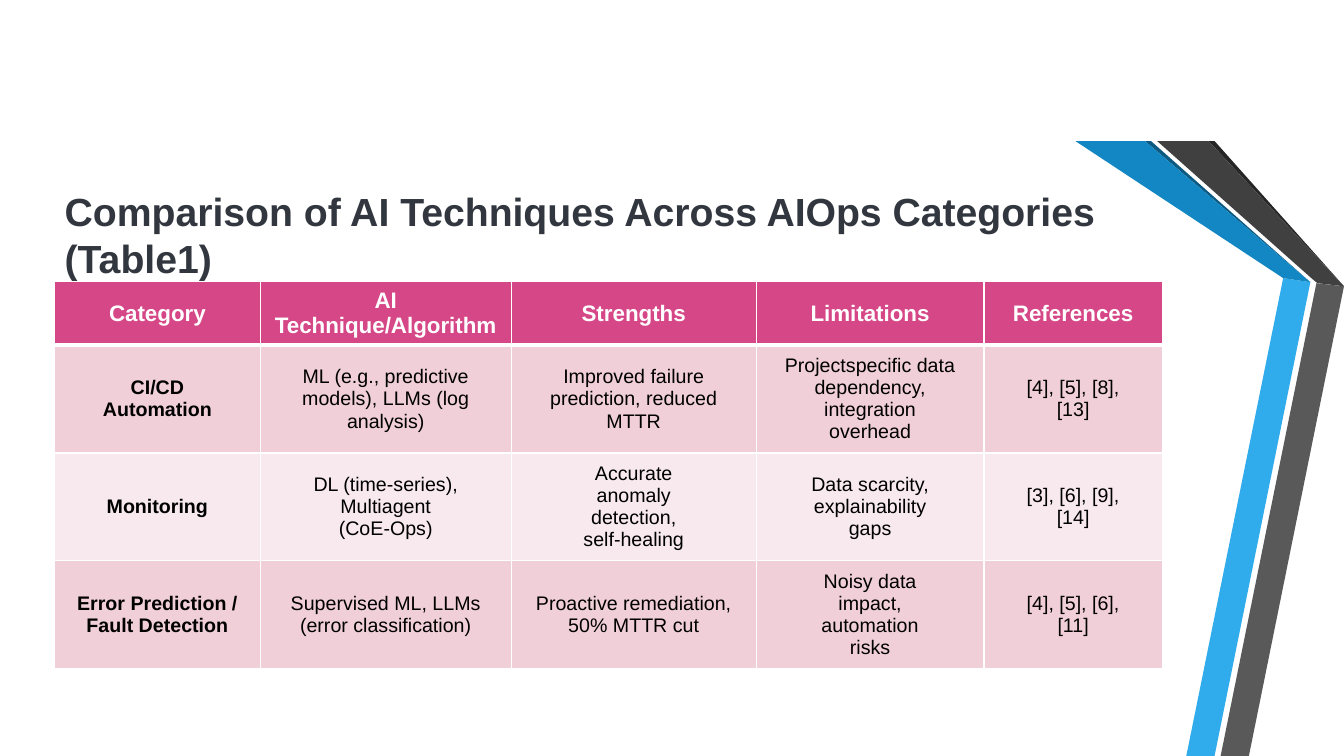
from dataclasses import dataclass

from lxml.etree import SubElement
from pptx import Presentation
from pptx.dml.color import RGBColor
from pptx.enum.text import MSO_ANCHOR, MSO_AUTO_SIZE, PP_ALIGN
from pptx.oxml.ns import qn
from pptx.util import Pt


@dataclass(frozen=True)
class Theme:
    font: str = "Arial"
    title_size: int = 28
    header_size: int = 16
    body_size: int = 14
    title: str = "32373F"
    header_text: str = "FFFFFF"
    body_text: str = "000000"
    header_fill: str = "D64787"
    bands: tuple = ("F0CFD9", "F7E9ED")
    border: str = "FFFFFF"
    light_blue: str = "30ACEC"
    blue: str = "1287C3"
    dark_blue: str = "0C5A82"
    grey: str = "595959"
    dark_grey: str = "404040"
    black: str = "262626"


THEME = Theme()

# Ribbon outlines: colour and corner points
RIBBONS = [
    (THEME.light_blue, [(936, 201.6), (916.6, 198.7), (847.4, 540), (867.6, 540)]),
    (THEME.grey, [(871.9, 540), (892.1, 540), (960, 204.5), (940.3, 202.3)]),
    (THEME.black, [(960, 204.5), (867.6, 100.8), (863.3, 100.8)]),
    (THEME.dark_blue, [(936, 201.6), (822.2, 100.8), (817.9, 100.8)]),
    (THEME.blue, [(936, 201.6), (817.9, 100.8), (768.2, 100.8), (916.6, 198.7)]),
    (THEME.dark_grey, [(826.6, 100.8), (936.7, 198.7), (941, 202.3),
                       (960, 204.5), (863.3, 100.8)]),
]

# Table content: each line in a cell is a paragraph
COLUMN_WIDTHS = [146.9, 179.3, 175, 162.7, 127.4]
HEADER_HEIGHT, ROW_HEIGHT = 45, 77
ROWS = [
    ["Category", "AI Technique/Algorithm", "Strengths", "Limitations", "References"],
    ["CI/CD\nAutomation",
     "ML (e.g., predictive\nmodels), LLMs (log\nanalysis)",
     "Improved failure\nprediction, reduced\nMTTR",
     "Projectspecific data\ndependency, integration\noverhead",
     "[4], [5], [8],\n[13]"],
    ["Monitoring",
     "DL (time-series), Multiagent\n(CoE-Ops)",
     "Accurate\nanomaly\ndetection,\nself-healing",
     "Data scarcity,\nexplainability\ngaps",
     "[3], [6], [9],\n[14]"],
    ["Error Prediction /\nFault Detection",
     "Supervised ML, LLMs\n(error classification)",
     "Proactive remediation,\n50% MTTR cut",
     "Noisy data\nimpact,\nautomation\nrisks",
     "[4], [5], [6],\n[11]"],
]


def format_text(text_frame, size, color, bold, alignment):
    for paragraph in text_frame.paragraphs:
        paragraph.alignment = alignment
        for run in paragraph.runs:
            run.font.name = THEME.font
            run.font.size = Pt(size)
            run.font.bold = bold
            run.font.color.rgb = RGBColor.from_string(color)


def add_ribbon(slide, color, points):
    start, *others = [(Pt(x), Pt(y)) for x, y in points]
    builder = slide.shapes.build_freeform(*start)
    builder.add_line_segments(others, close=True)
    shape = builder.convert_to_shape()
    shape.shadow.inherit = False
    shape.fill.solid()
    shape.fill.fore_color.rgb = RGBColor.from_string(color)
    shape.line.fill.background()


def set_title(slide, text):
    title = slide.shapes.title
    title.left, title.top, title.width, title.height = Pt(39), Pt(130), Pt(770), Pt(74)
    text_frame = title.text_frame
    text_frame.text = text
    text_frame.word_wrap = True
    text_frame.auto_size = MSO_AUTO_SIZE.SHAPE_TO_FIT_TEXT
    text_frame.vertical_anchor = MSO_ANCHOR.TOP
    format_text(text_frame, THEME.title_size, THEME.title, True, PP_ALIGN.LEFT)


def set_borders(cell, top, bottom):
    properties = cell._tc.get_or_add_tcPr()
    for side, width in (("L", 1), ("R", 1), ("T", top), ("B", bottom)):
        line = SubElement(properties, qn(f"a:ln{side}"), w=str(Pt(width)))
        fill = SubElement(line, qn("a:solidFill"))
        SubElement(fill, qn("a:srgbClr"), val=THEME.border)


def format_cell(cell, text, row, column):
    is_header = row == 0
    cell.text_frame.text = text
    cell.vertical_anchor = MSO_ANCHOR.MIDDLE
    # The rule under the header is thicker than the others
    set_borders(cell, top=3 if row == 1 else 1, bottom=3 if is_header else 1)
    cell.fill.solid()
    fill = THEME.header_fill if is_header else THEME.bands[(row - 1) % 2]
    cell.fill.fore_color.rgb = RGBColor.from_string(fill)
    format_text(cell.text_frame,
                THEME.header_size if is_header else THEME.body_size,
                THEME.header_text if is_header else THEME.body_text,
                is_header or column == 0, PP_ALIGN.CENTER)


def add_comparison_table(slide):
    height = HEADER_HEIGHT + ROW_HEIGHT * (len(ROWS) - 1)
    table = slide.shapes.add_table(len(ROWS), len(COLUMN_WIDTHS), Pt(39), Pt(201),
                                   Pt(sum(COLUMN_WIDTHS)), Pt(height)).table
    for column, width in zip(table.columns, COLUMN_WIDTHS):
        column.width = Pt(width)
    for row, texts in enumerate(ROWS):
        table.rows[row].height = Pt(ROW_HEIGHT if row else HEADER_HEIGHT)
        for column, text in enumerate(texts):
            format_cell(table.cell(row, column), text, row, column)


def main():
    presentation = Presentation()
    presentation.slide_width, presentation.slide_height = Pt(960), Pt(540)
    title_only = presentation.slide_layouts[5]
    slide = presentation.slides.add_slide(title_only)

    # Decoration at the right edge
    for color, points in RIBBONS:
        add_ribbon(slide, color, points)

    # Title and table
    set_title(slide, "Comparison of AI Techniques Across AIOps Categories (Table1)")
    add_comparison_table(slide)
    presentation.save("out.pptx")


if __name__ == "__main__":
    main()
